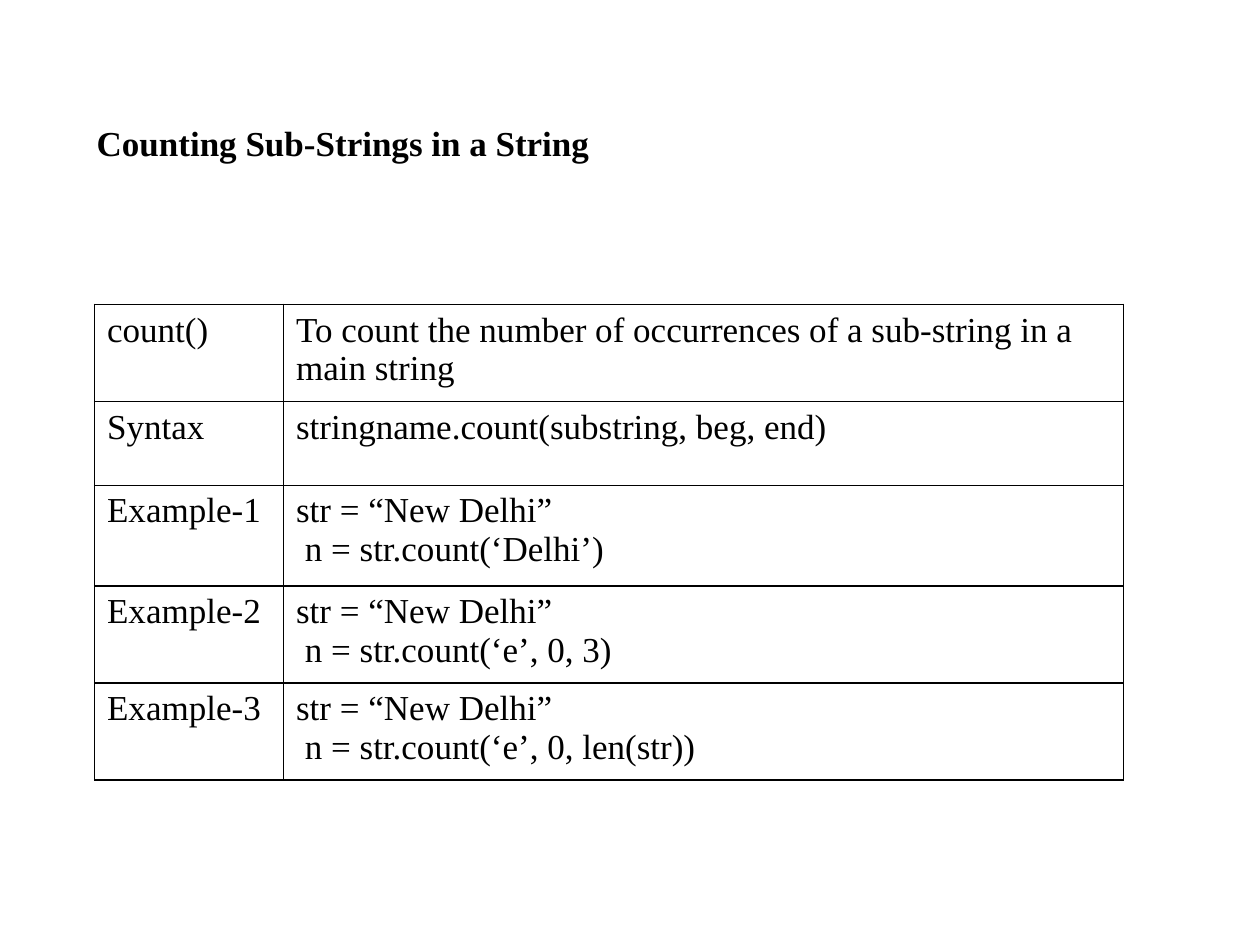
from dataclasses import dataclass

import pptx
import pptx.dml.color
import pptx.enum.text
import pptx.oxml
import pptx.oxml.ns
import pptx.util
from pptx.util import Pt


@dataclass(frozen=True)
class Theme:
    font: str = "Times New Roman"
    size: int = 20
    ink: str = "000000"
    paper: str = "FFFFFF"
    rule: int = 1


THEME = Theme()

TITLE = "Counting Sub-Strings in a String"

# Row height in points, label, description lines
METHOD_ROWS = [
    (55.4, "count()", ["To count the number of occurrences of a sub-string in a main string"]),
    (48, "Syntax", ["stringname.count(substring, beg, end)"]),
    (57.6, "Example-1", ["str = “New Delhi”", " n = str.count(‘Delhi’)"]),
    (55.4, "Example-2", ["str = “New Delhi”", " n = str.count(‘e’, 0, 3)"]),
    (55.4, "Example-3", ["str = “New Delhi”", " n = str.count(‘e’, 0, len(str))"]),
]
COLUMN_WIDTHS = (108, 480)


def color(code):
    return pptx.dml.color.RGBColor.from_string(code)


def write_lines(frame, lines, bold=False):
    frame.text = "\n".join(lines)
    for paragraph in frame.paragraphs:
        paragraph.alignment = pptx.enum.text.PP_ALIGN.LEFT
        font = paragraph.font
        font.name, font.size, font.bold = THEME.font, Pt(THEME.size), bold
        font.color.rgb = color(THEME.ink)


def add_title(slide, text):
    title = slide.shapes.title
    title.left, title.top, title.width, title.height = Pt(48), Pt(66), Pt(298), Pt(31.5)
    frame = title.text_frame
    write_lines(frame, [text], bold=True)
    frame.word_wrap = False
    frame.auto_size = pptx.enum.text.MSO_AUTO_SIZE.SHAPE_TO_FIT_TEXT
    frame.vertical_anchor = pptx.enum.text.MSO_ANCHOR.TOP


def outline_cell(cell):
    properties = cell._tc.get_or_add_tcPr()
    for side in ("lnL", "lnR", "lnT", "lnB"):
        properties.append(pptx.oxml.parse_xml(
            f'<a:{side} {pptx.oxml.ns.nsdecls("a")} w="{Pt(THEME.rule)}">'
            f'<a:solidFill><a:srgbClr val="{THEME.ink}"/></a:solidFill></a:{side}>'
        ))


def fill_cell(cell, lines):
    write_lines(cell.text_frame, lines)
    outline_cell(cell)
    cell.fill.solid()
    cell.fill.fore_color.rgb = color(THEME.paper)


def add_method_table(slide, rows):
    total_height = sum(height for height, _, _ in rows)
    table = slide.shapes.add_table(
        len(rows), len(COLUMN_WIDTHS), Pt(54), Pt(174),
        Pt(sum(COLUMN_WIDTHS)), Pt(total_height),
    ).table
    table.first_row = table.horz_banding = False
    for column, width in zip(table.columns, COLUMN_WIDTHS):
        column.width = Pt(width)
    for index, (height, label, description) in enumerate(rows):
        table.rows[index].height = Pt(height)
        fill_cell(table.cell(index, 0), [label])
        fill_cell(table.cell(index, 1), description)


def main():
    deck = pptx.Presentation()
    deck.slide_width, deck.slide_height = Pt(720), Pt(540)
    slide = deck.slides.add_slide(deck.slide_layouts.get_by_name("Title Only"))

    # Heading
    add_title(slide, TITLE)

    # Method description, syntax and examples
    add_method_table(slide, METHOD_ROWS)

    deck.save("out.pptx")


if __name__ == "__main__":
    main()
